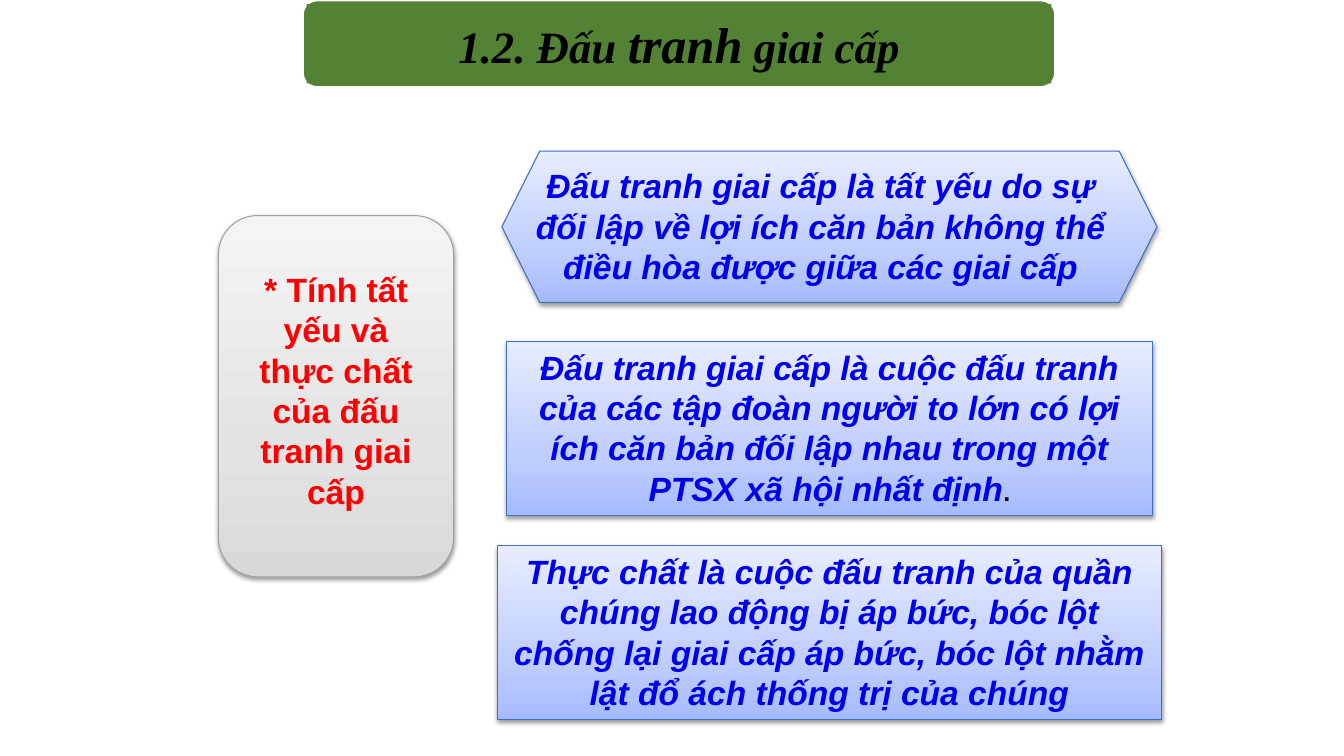
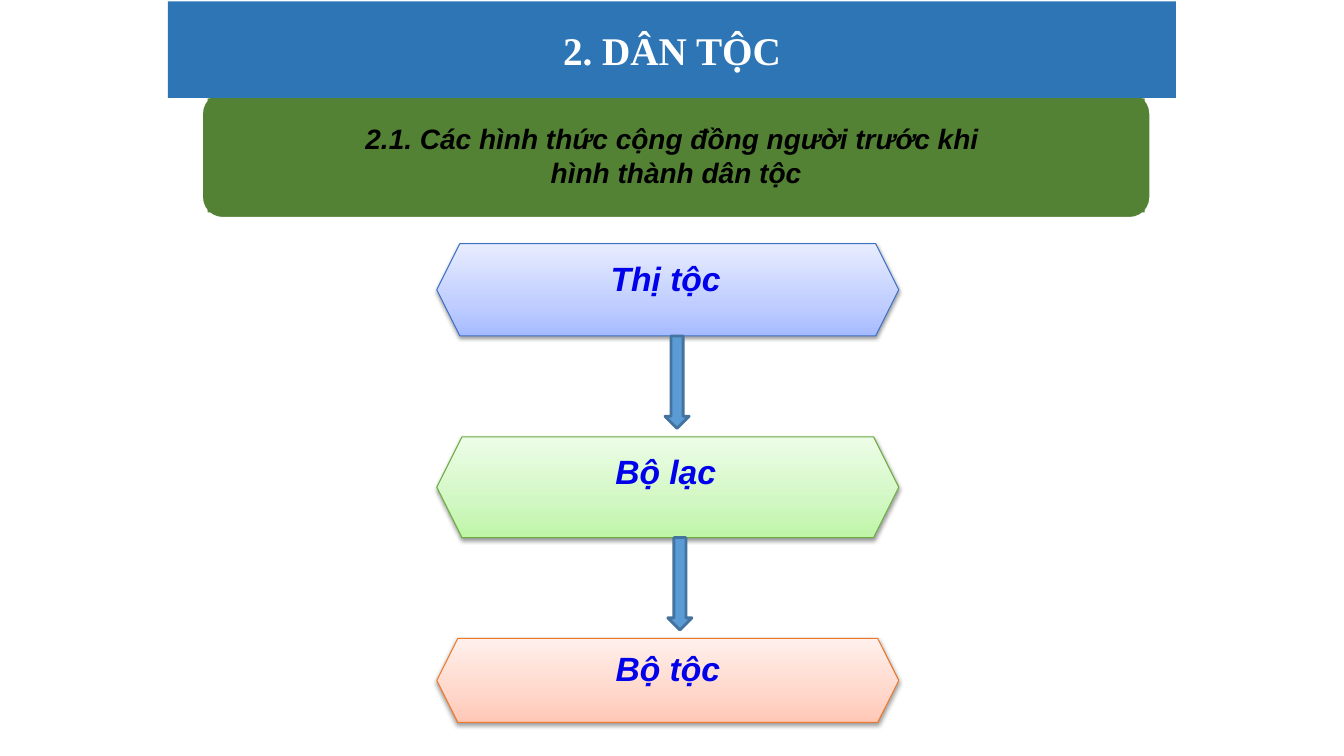
from copy import deepcopy

from lxml import etree
from pptx import Presentation
from pptx.dml.color import RGBColor
from pptx.enum import shapes, text
from pptx.oxml import ns
from pptx.util import Pt

SHAPE = shapes.MSO_SHAPE
ANCHOR = text.MSO_ANCHOR

BLACK = RGBColor(0x00, 0x00, 0x00)
WHITE = RGBColor(0xFF, 0xFF, 0xFF)
RED = RGBColor(0xFF, 0x00, 0x00)
INK_BLUE = RGBColor(0x00, 0x00, 0xEA)
BAND_GREEN = RGBColor(0x54, 0x82, 0x35)
BAND_BLUE = RGBColor(0x2E, 0x75, 0xB6)
ARROW_FILL = RGBColor(0x5B, 0x9B, 0xD5)
ARROW_LINE = RGBColor(0x43, 0x73, 0x9E)


def theme(line, *stops):
    return RGBColor.from_string(line), [RGBColor.from_string(c) for c in stops]


GREY = theme("A1A1A1", "D8D8D8", "E3E3E3", "F4F4F4")
BLUE = theme("3F6FC3", "A6BBFF", "C0CEFF", "E7ECFF")
GREEN = theme("6DAC43", "BEF5A7", "D1F7C2", "EDFDE7")
ORANGE = theme("EC792B", "FFC7B6", "FFD7CB", "FFF0EB")
STOPS = (0, 0.35, 1)

SERIF = "Times New Roman"
BODY = dict(size=24, color=INK_BLUE, italic=True)


def write(sp, *paragraphs, size, color, font="Arial", italic=False,
          anchor=ANCHOR.TOP, side=7.2, edge=3.6):
    tf = sp.text_frame
    tf.word_wrap = True
    tf.vertical_anchor = anchor
    tf.margin_left = tf.margin_right = Pt(side)
    tf.margin_top = tf.margin_bottom = Pt(edge)
    for i, runs in enumerate(paragraphs):
        p = tf.add_paragraph() if i else tf.paragraphs[0]
        p.alignment = text.PP_ALIGN.CENTER
        for run in [runs] if isinstance(runs, str) else runs:
            words, own = (run, {}) if isinstance(run, str) else run
            r = p.add_run()
            r.text = words
            r.font.name = font
            r.font.bold = True
            r.font.size = Pt(own.get("size", size))
            r.font.italic = own.get("italic", italic)
            r.font.color.rgb = own.get("color", color)


def add_shape(parent, kind, box, fill=None, line=None, width=2):
    sp = parent.add_shape(kind, *map(Pt, box))
    sp.shadow.inherit = False
    if fill is not None:
        sp.fill.solid()
        sp.fill.fore_color.rgb = fill
    if line is None:
        sp.line.fill.background()
    else:
        sp.line.color.rgb = line
        sp.line.width = Pt(width)
    return sp


def add_shadow(sp):
    effects = sp._element.spPr.find(ns.qn("a:effectLst"))
    shadow = etree.SubElement(effects, ns.qn("a:outerShdw"), blurRad=str(Pt(3.1)),
                              dist=str(Pt(1.6)), dir="5400000", rotWithShape="0")
    color = etree.SubElement(shadow, ns.qn("a:srgbClr"), val=str(BLACK))
    etree.SubElement(color, ns.qn("a:alpha"), val="38000")


def add_card(s, kind, box, palette):
    line, colors = palette
    sp = add_shape(s.shapes, kind, box, line=line, width=0.75)
    sp.fill.gradient()
    sp.fill.gradient_angle = 90
    stops = sp._element.spPr.find(ns.qn("a:gradFill")).find(ns.qn("a:gsLst"))
    stops.append(deepcopy(stops[0]))
    for stop, position, color in zip(sp.fill.gradient_stops, STOPS, colors):
        stop.position = position
        stop.color.rgb = color
    add_shadow(sp)
    return sp


def add_label(s, box, words, **style):
    write(s.shapes.add_textbox(*map(Pt, box)), words, **style)


def add_heading(s, box, *paragraphs, **style):
    x, y, w, h = box
    inset = h / 21
    group = s.shapes.add_group_shape().shapes
    add_shape(group, SHAPE.ROUNDED_RECTANGLE, box, BAND_GREEN, WHITE)
    sp = add_shape(group, SHAPE.RECTANGLE,
                   (x + inset, y + inset, w - 2 * inset, h - 2 * inset), BAND_GREEN)
    write(sp, *paragraphs, color=BLACK, italic=True, anchor=ANCHOR.MIDDLE,
          side=17.3, edge=0, **style)


def build_struggle(s):
    add_heading(s, (216, 0, 538, 62.5),
                ["1.2. Đấu ", ("tranh", dict(size=36)), " giai cấp"],
                size=32, font=SERIF)
    add_card(s, SHAPE.ROUNDED_RECTANGLE, (156, 154, 168, 258), GREY)
    add_label(s, (168, 188.5, 144, 181.5),
              "* Tính tất yếu và thực chất của đấu tranh giai cấp",
              size=24, color=RED)
    add_card(s, SHAPE.HEXAGON, (358.5, 108, 468, 108), BLUE)
    add_label(s, (365.75, 114.5, 440.75, 94.5),
              "Đấu tranh giai cấp là tất yếu do sự đối lập về lợi ích căn bản "
              "không thể điều hòa được giữa các giai cấp", **BODY)
    sp = add_card(s, SHAPE.RECTANGLE, (361.5, 244, 462, 124), BLUE)
    write(sp, ["Đấu tranh giai cấp là cuộc đấu tranh của các tập đoàn người to lớn "
               "có lợi ích căn bản đối lập nhau trong một PTSX xã hội nhất định",
               (".", dict(size=18, color=BLACK, italic=False))], **BODY)
    sp = add_card(s, SHAPE.RECTANGLE, (355.5, 390, 474, 124), BLUE)
    write(sp, "Thực chất là cuộc đấu tranh của quần chúng lao động bị áp bức, "
              "bóc lột chống lại giai cấp áp bức, bóc lột nhằm lật đổ ách thống trị "
              "của chúng", **BODY)


def build_nation(s):
    add_heading(s, (144, 66, 678, 90),
                "2.1. Các hình thức cộng đồng người trước khi ",
                "hình thành dân tộc", size=20)
    steps = [("Thị tộc", 174, 66, BLUE, 328.5, 6.75),
             ("Bộ lạc", 312, 72, GREEN, 328.5, 6.75),
             ("Bộ tộc", 456, 60, ORANGE, 330, 3.5)]
    for name, top, height, palette, left, drop in steps:
        add_card(s, SHAPE.HEXAGON, (312, top, 330, height), palette)
        add_label(s, (left, top + drop, 294, 36.5), name, **BODY)
    for x, y in ((475, 240), (477, 384)):
        add_shape(s.shapes, SHAPE.DOWN_ARROW, (x, y, 17.25, 66),
                  ARROW_FILL, ARROW_LINE)
    banner = add_shape(s.shapes, SHAPE.RECTANGLE, (120, 1, 720, 69), BAND_BLUE)
    write(banner, "2. DÂN TỘC", size=28, color=WHITE, font=SERIF,
          anchor=ANCHOR.MIDDLE)


def main():
    prs = Presentation()
    prs.slide_width, prs.slide_height = Pt(960), Pt(540)
    for build in (build_struggle, build_nation):
        build(prs.slides.add_slide(prs.slide_layouts[6]))
    prs.save("out.pptx")


if __name__ == "__main__":
    main()
